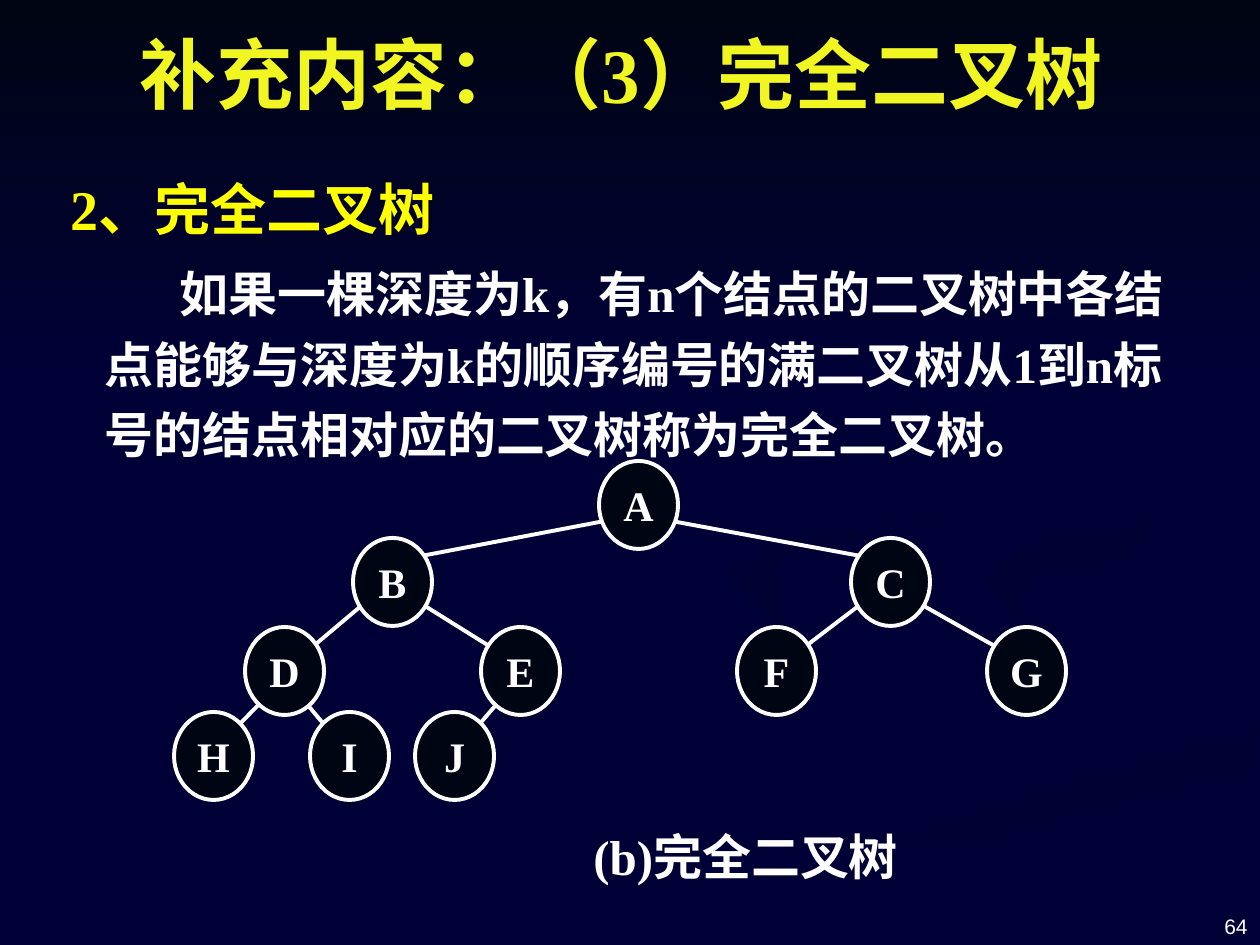
from dataclasses import dataclass

from lxml import etree
from pptx import Presentation
from pptx import util as u
from pptx.dml.color import RGBColor
from pptx.enum import shapes, text
from pptx.oxml import ns

PX_PER_INCH = 126
WHITE = RGBColor(0xFF, 0xFF, 0xFF)
YELLOW = RGBColor(0xFF, 0xFF, 0x00)
TITLE_YELLOW = RGBColor(0xF1, 0xF6, 0x22)
NAVY = RGBColor(0x00, 0x00, 0x36)
DEEP_NAVY = RGBColor(0x00, 0x00, 0x32)
NIGHT = RGBColor(0x00, 0x05, 0x14)
SERIF = "Times New Roman"
CJK = "Noto Sans CJK SC"
NODE_WIDTH, NODE_HEIGHT = 79, 88


@dataclass(frozen=True)
class Swirl:
    angle: int
    points: list[tuple[int, int]]


@dataclass(frozen=True)
class Level:
    top: int
    parent_dx: int
    parent_dy: int
    child_dx: int
    child_dy: int


@dataclass(frozen=True)
class Node:
    label: str
    center: int
    level: int
    parent: str


SWIRLS = [
    Swirl(270, [(634, 944), (794, 873), (1004, 804), (1257, 732),
                (1257, 767), (947, 847), (719, 944)]),
    Swirl(315, [(1257, 507), (1034, 542), (984, 580), (1016, 614),
                (1031, 578), (1257, 529)]),
    Swirl(315, [(1126, 433), (1040, 507), (775, 541), (728, 575),
                (784, 630), (773, 564), (1030, 486)]),
]
LEVELS = [
    Level(461, 0, 0, 0, 0),
    Level(538, 28, 15, 24, -25),
    Level(627, 25, 19, 26, -22),
    Level(712, 12, 20, 17, -22),
]
NODES = [
    Node("A", 638, 0, ""),
    Node("B", 392, 1, "A"), Node("C", 890, 1, "A"),
    Node("D", 284, 2, "B"), Node("E", 520, 2, "B"),
    Node("F", 776, 2, "C"), Node("G", 1026, 2, "C"),
    Node("H", 213, 3, "D"), Node("I", 349, 3, "D"), Node("J", 454, 3, "E"),
]


def px(length: int) -> u.Emu:
    return u.Emu(round(length * u.Inches(1) / PX_PER_INCH))


def place(shape, left: int, top: int, width: int, height: int) -> None:
    shape.left, shape.top = px(left), px(top)
    shape.width, shape.height = px(width), px(height)


def format_para(para, size: int, color: RGBColor, bold: bool = True,
                name: str = SERIF, align=text.PP_ALIGN.LEFT) -> None:
    para.alignment = align
    for span in para.runs:
        font = span.font
        font.size, font.bold, font.name = u.Pt(size), bold, name
        font.color.rgb = color
        east_asian = etree.SubElement(font._element, ns.qn("a:ea"))
        east_asian.set("typeface", CJK)


def shade(shape, start: RGBColor, end: RGBColor, angle: int) -> None:
    shape.shadow.inherit = False
    shape.line.fill.background()
    shape.fill.gradient()
    shape.fill.gradient_angle = angle
    for position, stop in enumerate(shape.fill.gradient_stops):
        stop.position, stop.color.rgb = position, (start, end)[position]


def draw_swirl(page, swirl: Swirl) -> None:
    corners = [(px(x), px(y)) for x, y in swirl.points]
    builder = page.shapes.build_freeform(*corners[0])
    builder.add_line_segments(corners[1:], close=True)
    shade(builder.convert_to_shape(), DEEP_NAVY, NAVY, swirl.angle)


def draw_edge(page, parent: Node, child: Node) -> None:
    level = LEVELS[child.level]
    side = 1 if child.center > parent.center else -1
    middle = NODE_HEIGHT // 2
    line = page.shapes.add_connector(
        shapes.MSO_CONNECTOR.STRAIGHT,
        px(parent.center + side * level.parent_dx),
        px(LEVELS[parent.level].top + middle + level.parent_dy),
        px(child.center - side * level.child_dx),
        px(level.top + middle + level.child_dy))
    line.line.color.rgb, line.line.width = WHITE, u.Pt(2.25)
    etree.SubElement(line._element.spPr, ns.qn("a:effectLst"))


def draw_node(page, node: Node) -> None:
    oval = page.shapes.add_shape(
        shapes.MSO_SHAPE.OVAL, px(node.center - NODE_WIDTH // 2),
        px(LEVELS[node.level].top), px(NODE_WIDTH), px(NODE_HEIGHT))
    oval.shadow.inherit = False
    oval.fill.solid()
    oval.fill.fore_color.rgb = NIGHT
    oval.line.color.rgb, oval.line.width = WHITE, u.Pt(2.25)
    frame = oval.text_frame
    frame.text = node.label
    frame.margin_left = frame.margin_right = 0
    frame.vertical_anchor = text.MSO_ANCHOR.MIDDLE
    format_para(frame.paragraphs[0], 24, WHITE, align=text.PP_ALIGN.CENTER)


def fill_title(title) -> None:
    place(title, 54, 20, 1134, 135)
    frame = title.text_frame
    frame.text = "补充内容：（3）完全二叉树"
    frame.vertical_anchor = text.MSO_ANCHOR.TOP
    frame.auto_size = text.MSO_AUTO_SIZE.NONE
    format_para(frame.paragraphs[0], 44, TITLE_YELLOW, align=text.PP_ALIGN.CENTER)


def fill_body(body) -> None:
    place(body, 44, 155, 1176, 338)
    frame = body.text_frame
    frame.text = ("2、完全二叉树\n如果一棵深度为k，有n个结点的二叉树中各结点能够与深度为k的"
                  "顺序编号的满二叉树从1到n标号的结点相对应的二叉树称为完全二叉树。")
    frame.auto_size = text.MSO_AUTO_SIZE.NONE
    styles = [(32, YELLOW, -34, 0), (28, WHITE, 75, 5.6)]
    for para, (size, color, indent, before) in zip(frame.paragraphs, styles):
        props = para._p.get_or_add_pPr()
        props.set("marL", str(px(48)))
        props.set("indent", str(px(indent)))
        etree.SubElement(props, ns.qn("a:buNone"))
        para.line_spacing, para.space_before = 1.2, u.Pt(before)
        format_para(para, size, color)


def add_label(page, words: str, left: int, top: int, width: int, height: int):
    box = page.shapes.add_textbox(px(left), px(top), px(width), px(height))
    box.text_frame.word_wrap = True
    box.text_frame.text = words
    return box.text_frame


def main() -> None:
    deck = Presentation()
    deck.slide_width, deck.slide_height = u.Inches(10), u.Inches(7.5)
    page = deck.slides.add_slide(deck.slide_layouts[1])
    page.background.fill.solid()
    page.background.fill.fore_color.rgb = NAVY
    title, body = page.placeholders
    for swirl in SWIRLS:
        draw_swirl(page, swirl)
    band = page.shapes.add_shape(
        shapes.MSO_SHAPE.RECTANGLE, 0, 0, deck.slide_width, px(388))
    shade(band, NIGHT, NAVY, 270)
    for holder in (title, body):
        page.shapes._spTree.append(holder._element)
    fill_title(title)
    fill_body(body)
    number = add_label(page, "64", 966, 879, 294, 66)
    number.vertical_anchor = text.MSO_ANCHOR.BOTTOM
    format_para(number.paragraphs[0], 12, WHITE, False, "Arial", text.PP_ALIGN.RIGHT)
    caption = add_label(page, "(b)完全二叉树", 581, 820, 397, 72)
    format_para(caption.paragraphs[0], 28, WHITE)
    by_label = {node.label: node for node in NODES}
    for node in NODES[1:]:
        draw_edge(page, by_label[node.parent], node)
    for node in NODES:
        draw_node(page, node)
    deck.save("out.pptx")


if __name__ == "__main__":
    main()
